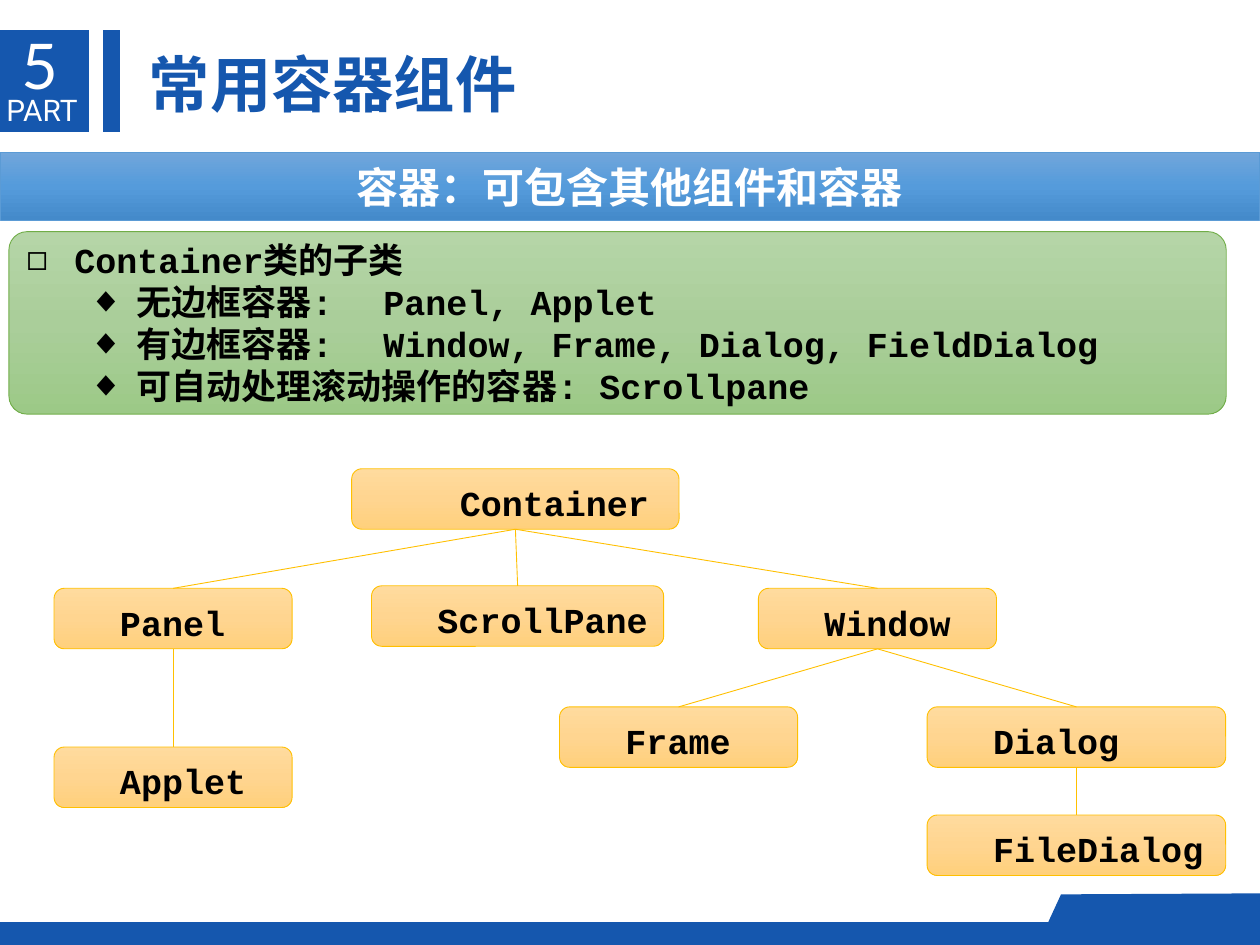
from copy import deepcopy
from dataclasses import dataclass

from lxml import etree
from pptx import Presentation
from pptx import util as u
from pptx.dml.color import RGBColor
from pptx.enum import shapes, text
from pptx.oxml.ns import qn

KIND = shapes.MSO_SHAPE
MID = text.MSO_ANCHOR.MIDDLE
LEFT, CENTER = text.PP_ALIGN.LEFT, text.PP_ALIGN.CENTER


@dataclass(frozen=True)
class Theme:
    blue: str = "1557AE"
    white: str = "FFFFFF"
    black: str = "000000"
    sky: tuple = ("71A6DB", "559BDB", "448ACA")
    sky_edge: str = "5B9BD5"
    leaf: tuple = ("B5D5A7", "AACE9A", "9CC987")
    leaf_edge: str = "70AD47"
    gold: tuple = ("FFDB9E", "FFD590", "FFD07C")
    gold_edge: str = "FFC000"
    hair: float = 0.5
    han: str = "Noto Sans CJK SC"
    code: str = "Courier New"
    num: str = "Lato"
    tag: str = "Roboto"
    big: int = 36
    head: int = 35
    sub: int = 24
    body: int = 20
    small: int = 17


class Deck:
    """Draws styled elements on the current slide."""

    def __init__(self, theme):
        self.t = theme
        self.prs = Presentation()
        self.prs.slide_width, self.prs.slide_height = u.Cm(25.4), u.Cm(19.05)
        self.slide = self.prs.slides.add_slide(self.prs.slide_layouts[1])
        self.items = self.slide.shapes

    def place(self, shape, box):
        shape.left, shape.top, shape.width, shape.height = map(u.Cm, box)

    def frame(self, shape, left=0, wrap=True, anchor=MID):
        tf = shape.text_frame
        tf.margin_left = u.Cm(left)
        tf.margin_top = tf.margin_right = tf.margin_bottom = 0
        tf.word_wrap, tf.vertical_anchor = wrap, anchor
        tf.auto_size = text.MSO_AUTO_SIZE.NONE
        return tf

    def style(self, par, face, size, color, bold=True, align=LEFT):
        par.alignment, par.space_before = align, u.Pt(0)
        font = par.font
        font.name, font.size, font.bold = face, u.Pt(size), bold
        font.color.rgb = RGBColor.from_string(color)
        props = par._p.pPr.find(qn("a:defRPr"))
        etree.SubElement(props, qn("a:ea"), typeface=self.t.han)

    def flat(self, shape):
        shape.shadow.inherit = False
        shape.fill.solid()
        shape.fill.fore_color.rgb = RGBColor.from_string(self.t.blue)
        shape.line.fill.background()

    def bar(self, box):
        self.flat(self.items.add_shape(KIND.FLOWCHART_PROCESS, *map(u.Cm, box)))

    def flap(self, points):
        pts = [(u.Cm(x), u.Cm(y)) for x, y in points]
        path = self.items.build_freeform(*pts[0])
        path.add_line_segments(pts[1:], close=True)
        self.flat(path.convert_to_shape())

    def label(self, box, words, face, size):
        shape = self.items.add_textbox(*map(u.Cm, box))
        tf = self.frame(shape, wrap=False, anchor=text.MSO_ANCHOR.TOP)
        tf.text = words
        self.style(tf.paragraphs[0], face, size, self.t.white, bold=False)

    def title(self, box, words):
        shape = self.items.title
        self.place(shape, box)
        tf = self.frame(shape, wrap=False)
        tf.text = words
        self.style(tf.paragraphs[0], self.t.han, self.t.head, self.t.blue)

    def panel(self, kind, box, fade, edge, curve=None):
        shape = self.items.add_shape(kind, *map(u.Cm, box))
        shape.shadow.inherit = False
        if curve is not None:
            shape.adjustments[0] = curve
        shape.fill.gradient()
        shape.fill.gradient_angle = 270
        first = shape._element.spPr.find(".//" + qn("a:gs"))
        first.addnext(deepcopy(first))
        for stop, color, pos in zip(shape.fill.gradient_stops, fade, (0, 0.5, 1)):
            stop.color.rgb, stop.position = RGBColor.from_string(color), pos
        shape.line.color.rgb = RGBColor.from_string(edge)
        shape.line.width = u.Pt(self.t.hair)
        return shape

    def banner(self, box, words):
        shape = self.panel(KIND.RECTANGLE, box, self.t.sky, self.t.sky_edge)
        tf = self.frame(shape)
        tf.text = words
        self.style(tf.paragraphs[0], self.t.han, self.t.sub, self.t.white, align=CENTER)

    def list(self, box, rows, tab):
        shape = self.slide.placeholders[1]
        self.place(shape, box)
        tf = self.frame(shape)
        tf.text = "\n".join(words for _, words in rows)
        for par, (level, _) in zip(tf.paragraphs, rows):
            par.level = level
            props = par._p.get_or_add_pPr()
            props.set("marL", str(u.Cm((0.97, 2.22)[level])))
            props.set("indent", str(-u.Cm(0.97)))
            etree.SubElement(props, qn("a:buChar"), char="◻◆"[level])
            stops = etree.SubElement(props, qn("a:tabLst"))
            etree.SubElement(stops, qn("a:tab"), pos=str(u.Cm(tab)), algn="l")
            self.style(par, self.t.code, self.t.body, self.t.black)

    def node(self, words, x, y, wide, pad=1.27):
        box = (x, y, wide, 1.22)
        shape = self.panel(KIND.ROUNDED_RECTANGLE, box, self.t.gold, self.t.gold_edge, 0.17)
        tf = self.frame(shape, left=pad, wrap=False)
        tf.margin_top = u.Cm(0.14)
        tf.text = words
        self.style(tf.paragraphs[0], self.t.code, self.t.body, self.t.black)
        return shape

    def link(self, top, low):
        line = self.items.add_connector(shapes.MSO_CONNECTOR.STRAIGHT, 0, 0, 0, 0)
        line.begin_connect(top, 2)
        line.end_connect(low, 0)
        line.line.color.rgb = RGBColor.from_string(self.t.gold_edge)
        line.line.width = u.Pt(self.t.hair)
        etree.SubElement(line._element.spPr, qn("a:effectLst"))


def main():
    t = Theme()
    deck = Deck(t)
    for box in ((0, 0.6, 1.79, 2.06), (2.07, 0.6, 0.35, 2.06), (0, 18.58, 25.4, 0.47)):
        deck.bar(box)
    deck.flap([(25.4, 18.92), (25.4, 18.01), (21.39, 18.03), (20.98, 18.92)])
    deck.label((0.13, 1.85, 1.52, 0.74), "PART", t.tag, t.small)
    deck.label((0.43, 0.53, 0.84, 1.55), "5", t.num, t.big)
    deck.title((3, 0.79, 7.5, 1.75), "常用容器组件")
    deck.banner((0, 3.07, 25.4, 1.37), "容器：可包含其他组件和容器")
    deck.panel(KIND.ROUNDED_RECTANGLE, (0.18, 4.67, 24.54, 3.68), t.leaf, t.leaf_edge, 0.1)
    rows = [
        (0, "Container类的子类"),
        (1, "无边框容器:\tPanel, Applet"),
        (1, "有边框容器:\tWindow, Frame, Dialog, FieldDialog"),
        (1, "可自动处理滚动操作的容器: Scrollpane"),
    ]
    deck.list((0.53, 4.67, 23.8, 3.68), rows, 7.2)
    deck.items._spTree.append(deck.slide.placeholders[1]._element)

    spots = {
        "Container": (7.09, 9.45, 6.6, 2.12),
        "ScrollPane": (7.49, 11.81, 5.89),
        "Panel": (1.09, 11.86, 4.8),
        "Window": (15.29, 11.86, 4.8),
        "Frame": (11.28, 14.25, 4.8),
        "Dialog": (18.69, 14.25, 6.02),
        "FileDialog": (18.69, 16.43, 6.02),
        "Applet": (1.09, 15.06, 4.8),
    }
    nodes = {name: deck.node(name, *spot) for name, spot in spots.items()}
    tree = {
        "Container": ("ScrollPane", "Panel", "Window"),
        "Panel": ("Applet",),
        "Window": ("Frame", "Dialog"),
        "Dialog": ("FileDialog",),
    }
    for top, kids in tree.items():
        for kid in kids:
            deck.link(nodes[top], nodes[kid])
    deck.prs.save("out.pptx")


if __name__ == "__main__":
    main()
